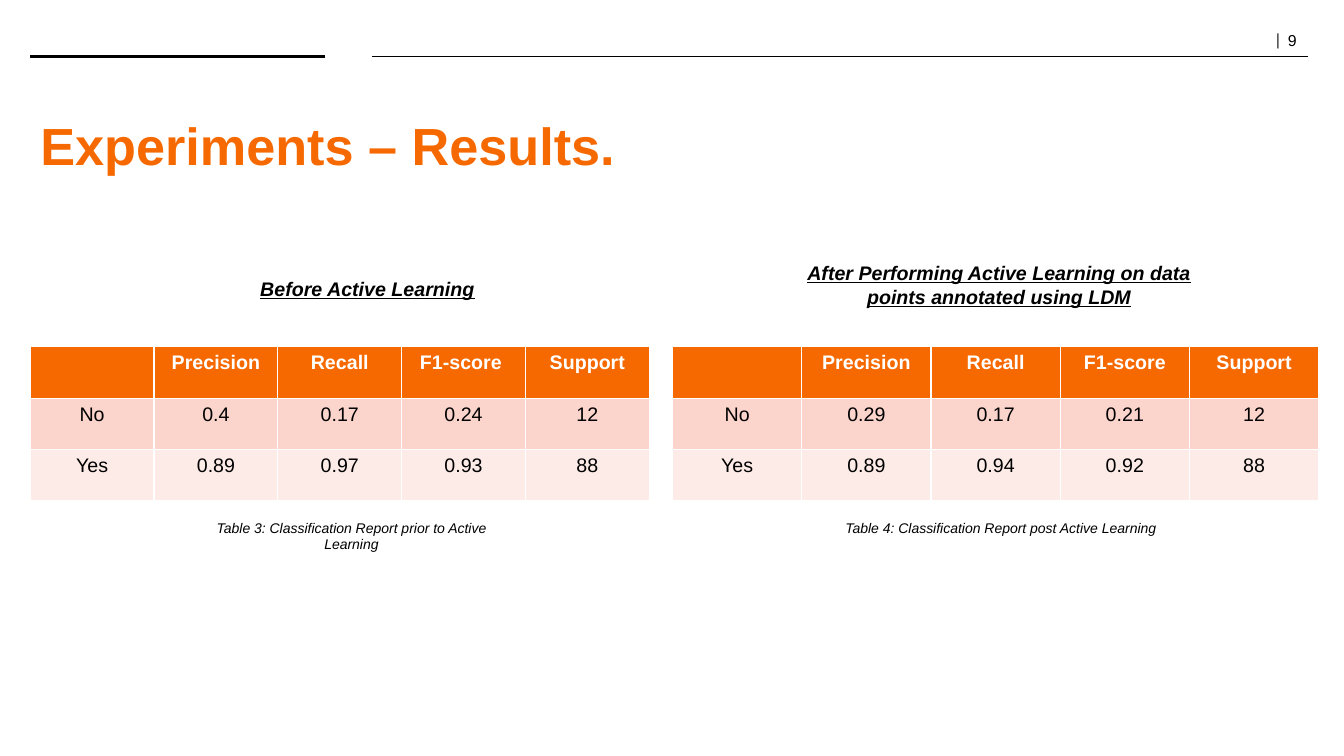
from lxml import etree
from pptx import Presentation
from pptx.dml.color import RGBColor
from pptx.enum import shapes, text
from pptx.oxml.ns import qn
from pptx.util import Inches, Pt

TITLE = "Experiments – Results."
PAGE_PARTS = [("|  ", "Cambria", 12), ("9", "Arial", 11.3)]
COLORS = {"accent": "F66900", "text": "000000", "white": "FFFFFF",
          "odd": "FBD4CC", "even": "FDEBE7"}
RULES = [(0.3, 3.22, 2), (3.69, 12.97, 1)]  # left, right, weight
RULE_Y = 0.56
TABLE_TOP, ROW_HEIGHT = 3.44, 0.51

# Heading and caption boxes: left, top, width, height
REPORTS = [
    {"heading": ("Before Active Learning", (1.71, 2.7, 3.87, 0.96)),
     "caption": ("Table 3: Classification Report prior to Active Learning",
                 (2.04, 5.1, 2.89, 0.44)),
     "left": 0.3, "width": 6.14,
     "rows": [["", "Precision", "Recall", "F1-score ", "Support"],
              ["No", "0.4", "0.17", "0.24", "12"],
              ["Yes", "0.89", "0.97", "0.93", "88"]]},
    {"heading": ("After Performing Active Learning on data points annotated using LDM",
                 (7.87, 2.54, 4.08, 0.57)),
     "caption": ("Table 4: Classification Report post Active Learning",
                 (8.01, 5.1, 3.83, 0.27)),
     "left": 6.67, "width": 6.41,
     "rows": [["", "Precision", "Recall", "F1-score", "Support"],
              ["No", "0.29", "0.17", "0.21", "12"],
              ["Yes", "0.89", "0.94", "0.92", "88"]]},
]


def rgb(name):
    return RGBColor.from_string(COLORS[name])


def set_font(font, size, color="text", name="Arial", bold=False, italic=False,
             underline=False):
    font.name, font.size = name, Pt(size)
    font.bold, font.italic, font.underline = bold, italic, underline
    font.color.rgb = rgb(color)


def add_box(slide, box):
    tf = slide.shapes.add_textbox(*map(Inches, box)).text_frame
    tf.word_wrap = True
    return tf


def add_centred_text(slide, content, box, **style):
    p = add_box(slide, box).paragraphs[0]
    p.text = content
    p.alignment = text.PP_ALIGN.CENTER
    set_font(p.font, italic=True, **style)


def add_rule(slide, left, right, weight):
    line = slide.shapes.add_connector(
        shapes.MSO_CONNECTOR.STRAIGHT,
        Inches(left), Inches(RULE_Y), Inches(right), Inches(RULE_Y))
    line.line.color.rgb = rgb("text")
    line.line.width = Pt(weight)
    etree.SubElement(line._element.spPr, qn("a:effectLst"))


def add_report_table(slide, left, width, rows):
    """Fill a table whose default style supplies the white cell borders."""
    table = slide.shapes.add_table(
        len(rows), len(rows[0]), Inches(left), Inches(TABLE_TOP),
        Inches(width), Inches(ROW_HEIGHT * len(rows))).table
    for r, (row, fill) in enumerate(zip(rows, ("accent", "odd", "even"))):
        header = r == 0
        for c, value in enumerate(row):
            cell = table.cell(r, c)
            cell.fill.solid()
            cell.fill.fore_color.rgb = rgb(fill)
            p = cell.text_frame.paragraphs[0]
            p.text = value
            p.alignment = text.PP_ALIGN.CENTER
            set_font(p.font, 14, "white" if header else "text", bold=header)


def main():
    prs = Presentation()
    prs.slide_width, prs.slide_height = Inches(13.33), Inches(7.5)
    slide = prs.slides.add_slide(prs.slide_layouts[5])

    title = slide.shapes.title
    title.left, title.top, title.width, title.height = map(
        Inches, (0.3, 1.05, 12.8, 0.76))
    title.text_frame.vertical_anchor = text.MSO_ANCHOR.MIDDLE
    p = title.text_frame.paragraphs[0]
    p.text = TITLE
    p.alignment = text.PP_ALIGN.LEFT
    set_font(p.font, 37.3, "accent", bold=True)

    p = add_box(slide, (12.55, 0.28, 0.75, 0.26)).paragraphs[0]
    p.line_spacing = 0.8
    for content, font_name, size in PAGE_PARTS:
        run = p.add_run()
        run.text = content
        set_font(run.font, size, name=font_name)

    for rule in RULES:
        add_rule(slide, *rule)

    for report in REPORTS:
        add_centred_text(slide, *report["heading"], size=14, bold=True, underline=True)
        add_report_table(slide, report["left"], report["width"], report["rows"])
        add_centred_text(slide, *report["caption"], size=10)

    prs.save("out.pptx")


if __name__ == "__main__":
    main()
